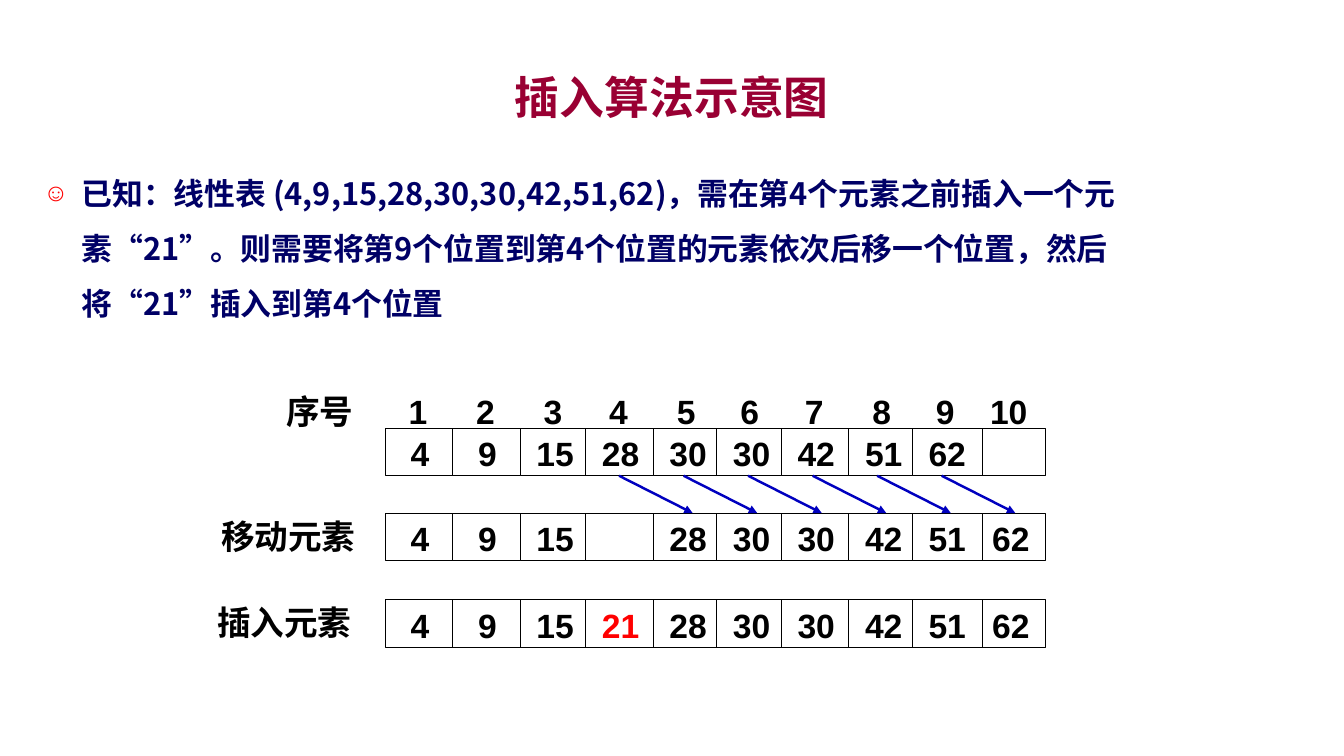
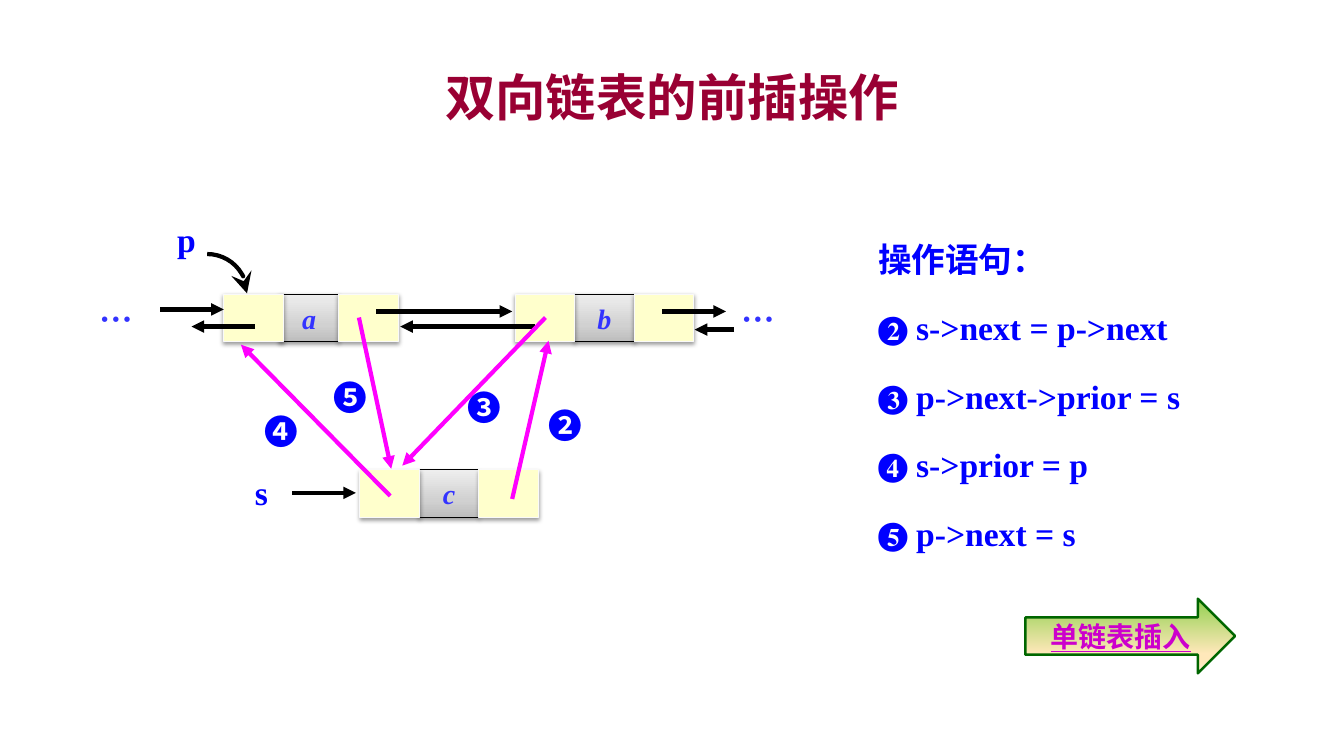
from pptx import Presentation
from pptx.dml.color import RGBColor
from pptx.enum.shapes import MSO_CONNECTOR as CONNECTOR, MSO_SHAPE as SHAPE
from pptx.enum.text import MSO_ANCHOR as ANCHOR, MSO_AUTO_SIZE as AUTO_SIZE, PP_ALIGN as ALIGN
from pptx.oxml import parse_xml
from pptx.oxml.ns import nsdecls, qn
from pptx.util import Inches, Pt

rgb = RGBColor.from_string
NS = nsdecls("a")

# Shared look
SANS, SERIF, CJK = "Arial", "Times New Roman", "Noto Sans CJK SC"
BLACK, WHITE, RED, BLUE = "000000", "FFFFFF", "FF0000", "0000FF"
TITLE_RED, NAVY, LINK_BLUE = "990033", "000066", "0000BF"
VIOLET_BLUE, MAGENTA, PURPLE = "3333FF", "FF00FF", "CC00CC"
CREAM, PALE_GREY, DARK_GREEN = "FFFFCC", "F9F9F9", "006600"
TITLE_AT = (1, 0.58, 11.33, 0.75)
SILVER = (270, [(0, "BDBDBD"), (35, "D1D1D1"), (100, "EEEEEE")])
MEADOW = (90, [(0, "92D050"), (74, "FFE8BA"), (83, "FFE8BA"), (100, "FFF0D1")])


def dress(shape, text="", size=24, font=SANS, color=BLACK, align=ALIGN.CENTER,
          anchor=ANCHOR.TOP, fill=None, line=None, weight=0.75, italic=None, underline=None):
    """Fill, outline and text of one shape; a tuple as fill means (angle, stops)."""
    shape.shadow.inherit = False
    shape.fill.background()
    if isinstance(fill, tuple):
        angle, stops = fill
        stop_xml = "".join(f'<a:gs pos="{pos * 1000}"><a:srgbClr val="{c}"/></a:gs>'
                           for pos, c in stops)
        gradient = parse_xml(f'<a:gradFill {NS}><a:gsLst>{stop_xml}</a:gsLst>'
                             f'<a:lin ang="{angle * 60000}" scaled="0"/></a:gradFill>')
        properties = shape._element.spPr
        properties.replace(properties.find(qn("a:noFill")), gradient)
    elif fill:
        shape.fill.solid()
        shape.fill.fore_color.rgb = rgb(fill)
    if line:
        shape.line.color.rgb = rgb(line)
        shape.line.width = Pt(weight)
    else:
        shape.line.fill.background()

    frame = shape.text_frame
    frame.text = text
    frame.word_wrap = True
    frame.auto_size = AUTO_SIZE.NONE
    frame.vertical_anchor = anchor
    for paragraph in frame.paragraphs:
        paragraph.alignment = align
        for run in paragraph.runs:
            run.font.size, run.font.name, run.font.bold = Pt(size), font, True
            run.font.italic, run.font.underline = italic, underline
            run.font.color.rgb = rgb(color)
            run.font._element.find(qn("a:latin")).addnext(
                parse_xml(f'<a:ea {NS} typeface="{CJK}"/>'))


def arrow(slide, start, end, color, weight):
    link = slide.shapes.add_connector(CONNECTOR.STRAIGHT, *map(Inches, start + end))
    link.line.color.rgb = rgb(color)
    link.line.width = Pt(weight)
    link.line._get_or_add_ln().append(parse_xml(f'<a:tailEnd {NS} type="triangle"/>'))
    link._element.spPr.append(parse_xml(f"<a:effectLst {NS}/>"))


deck = Presentation()
deck.slide_width, deck.slide_height = Inches(13.33), Inches(7.5)
CONTENT_LAYOUT, TITLE_ONLY = deck.slide_layouts[1], deck.slide_layouts[5]

# Titles
slides = []
for layout, heading, size in [(CONTENT_LAYOUT, "插入算法示意图", 32),
                              (TITLE_ONLY, "双向链表的前插操作", 36)]:
    slide = deck.slides.add_slide(layout)
    title = slide.shapes.title
    title.left, title.top, title.width, title.height = map(Inches, TITLE_AT)
    dress(title, heading, size, CJK, TITLE_RED, anchor=ANCHOR.MIDDLE)
    slides.append(slide)
array_slide, list_slide = slides

# Slide 1: the task
task = array_slide.placeholders[1]
task.left, task.top, task.width, task.height = map(Inches, (0.33, 1.5, 12.58, 1.55))
dress(task, "已知：线性表 (4,9,15,28,30,30,42,51,62)，需在第4个元素之前插入一个元素“21”。"
            "则需要将第9个位置到第4个位置的元素依次后移一个位置，然后将“21”插入到第4个位置",
      22, CJK, NAVY, ALIGN.LEFT)
task.text_frame.margin_right = Inches(1.36)
task_line = task.text_frame.paragraphs[0]
task_line.line_spacing, task_line.space_before = Pt(39.5), Pt(0)
bullet = task_line._p.get_or_add_pPr()
bullet.set("marL", str(Inches(0.38)))
bullet.set("indent", str(-Inches(0.38)))
for mark in (f'<a:buClr {NS}><a:srgbClr val="{RED}"/></a:buClr>',
             f'<a:buSzPct {NS} val="80000"/>', f'<a:buChar {NS} char="☺"/>'):
    bullet.append(parse_xml(mark))

# Row labels
for label, at in [("序号", (2.65, 3.83, 1.04, 0.46)),
                  ("移动元素", (2.04, 5.07, 1.64, 0.51)),
                  ("插入元素", (2, 5.92, 1.64, 0.57))]:
    dress(array_slide.shapes.add_shape(SHAPE.RECTANGLE, *map(Inches, at)), label, fill=WHITE)

# Index numbers and the three states of the array; cell 9 overlaps cell 10
cell_lefts = [3.82, 4.49, 5.16, 5.81, 6.48, 7.11, 7.75, 8.42, 9.05, 9.68]
draw_order = [*range(8), 9, 8]
for index, left in enumerate(cell_lefts):
    number = array_slide.shapes.add_textbox(*map(Inches, (left - 0.02, 3.83, 0.69, 0.47)))
    dress(number, str(index + 1))
for top, values in [(4.25, [4, 9, 15, 28, 30, 30, 42, 51, 62, ""]),
                    (5.09, [4, 9, 15, "", 28, 30, 30, 42, 51, 62]),
                    (5.95, [4, 9, 15, 21, 28, 30, 30, 42, 51, 62])]:
    for index in draw_order:
        cell = array_slide.shapes.add_shape(
            SHAPE.RECTANGLE, *map(Inches, (cell_lefts[index], top, 0.69, 0.47)))
        value = values[index]
        dress(cell, str(value), color=RED if value == 21 else BLACK, fill=WHITE, line=BLACK)

# Moves one place to the right
for step in range(6):
    x = 6.14 + 0.64 * step
    arrow(array_slide, (x, 4.72), (x + 0.73, 5.09), LINK_BLUE, 1.75)

# Slide 2: nodes, each with a data, a next and a prior field
for letter, prior_left, data_left, top in [("a", 2.22, 2.77, 2.92), ("b", 5.11, 5.7, 2.92),
                                           ("c", 3.57, 4.16, 4.66)]:
    for left, text, fill, line in [(data_left, letter, SILVER, BLACK),
                                   (data_left + 0.59, "", CREAM, PALE_GREY),
                                   (prior_left, "", CREAM, PALE_GREY)]:
        field = list_slide.shapes.add_shape(
            SHAPE.RECTANGLE, *map(Inches, (left, top, 0.59, 0.47)))
        dress(field, text, 20, SERIF, VIOLET_BLUE, anchor=ANCHOR.MIDDLE,
              fill=fill, line=line, italic=True)
        field._element.spPr.find(qn("a:effectLst")).append(parse_xml(
            f'<a:outerShdw {NS} blurRad="{Pt(3.1)}" dist="{Pt(1.6)}" dir="5400000" '
            f'rotWithShape="0"><a:srgbClr val="{BLACK}"><a:alpha val="38000"/></a:srgbClr>'
            '</a:outerShdw>'))

# Existing links in black, new links in magenta
for start, end in [((1.59, 3.07), (2.22, 3.07)), ((3.73, 3.09), (5.08, 3.09)),
                   ((6.57, 3.09), (7.2, 3.09)), ((2.53, 3.24), (1.9, 3.24)),
                   ((5.31, 3.24), (3.97, 3.24)), ((7.28, 3.27), (6.89, 3.27)),
                   ((2.9, 4.89), (3.53, 4.89))]:
    arrow(list_slide, start, end, BLACK, 3)
for start, end in [((5.08, 4.95), (5.44, 3.38)), ((5.41, 3.15), (3.99, 4.62)),
                   ((3.87, 4.92), (2.39, 3.42)), ((3.56, 3.15), (3.88, 4.65))]:
    arrow(list_slide, start, end, MAGENTA, 3)

# Curved pointer from p to node a
pointer = list_slide.shapes.add_shape(SHAPE.ARC, *map(Inches, (1.66, 2.52, 0.79, 0.78)))
dress(pointer, line=BLACK, weight=3)
pointer.line._get_or_add_ln().append(
    parse_xml(f'<a:tailEnd {NS} type="stealth" w="lg" len="lg"/>'))

# Pointer names, step numbers and ellipses
for text, left, top, width, font, color, align in [
        ("p", 1.66, 2.12, 0.47, SERIF, BLUE, ALIGN.LEFT),
        ("s", 2.43, 4.63, 0.47, SERIF, BLUE, ALIGN.LEFT),
        ("❷", 5.34, 3.97, 0.59, CJK, BLUE, ALIGN.LEFT),
        ("❸", 4.54, 3.79, 0.47, CJK, BLUE, ALIGN.LEFT),
        ("❹", 2.53, 4.03, 0.47, CJK, BLUE, ALIGN.LEFT),
        ("❺", 3.21, 3.69, 0.47, CJK, BLUE, ALIGN.LEFT),
        ("…", 0.84, 2.92, 0.63, CJK, VIOLET_BLUE, ALIGN.CENTER),
        ("…", 7.21, 2.92, 0.63, CJK, VIOLET_BLUE, ALIGN.CENTER)]:
    tag = list_slide.shapes.add_textbox(*map(Inches, (left, top, width, 0.5)))
    dress(tag, text, 24, font, color, align)

# Link to the singly linked list
next_topic = list_slide.shapes.add_shape(
    SHAPE.RIGHT_ARROW, *map(Inches, (10.17, 5.94, 2.08, 0.74)))
dress(next_topic, "单链表插入", 20, SERIF, PURPLE, anchor=ANCHOR.MIDDLE,
      fill=MEADOW, line=DARK_GREEN, weight=1.75, underline=True)

# Statements
statements = list_slide.shapes.add_textbox(*map(Inches, (8.61, 2.12, 3.91, 3.4)))
dress(statements, "\n".join(["操作语句：", "❷ s->next = p->next", "❸ p->next->prior = s",
                             "❹ s->prior = p", "❺ p->next = s"]),
      24, SERIF, BLUE, ALIGN.LEFT)
for row, statement in enumerate(statements.text_frame.paragraphs):
    statement.line_spacing = Pt(43)
    statement.space_before = Pt(6 if row else 0)

deck.save("out.pptx")
